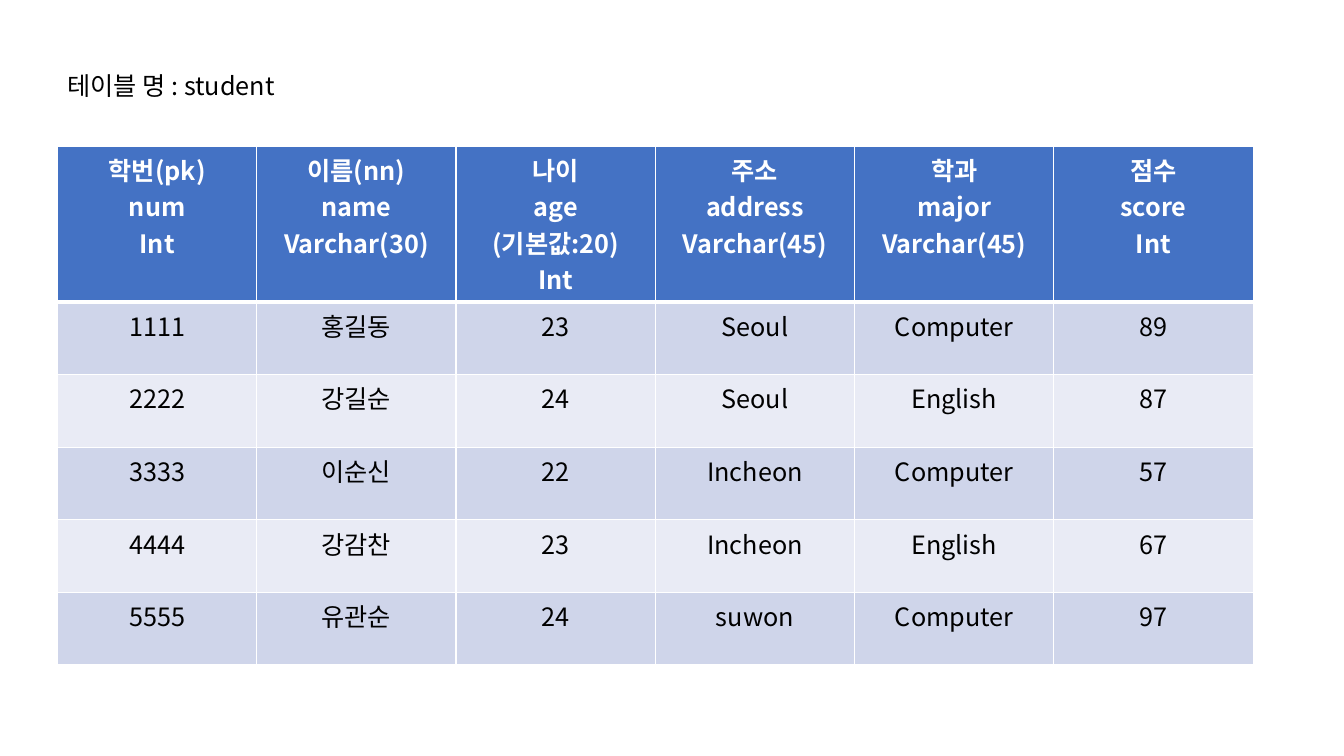
import pptx
import pptx.dml.color
import pptx.enum.text
import pptx.oxml.ns
import pptx.util
from lxml import etree

Inches = pptx.util.Inches
Pt = pptx.util.Pt
qn = pptx.oxml.ns.qn
ALIGN = pptx.enum.text.PP_ALIGN

# Content
TITLE = "테이블 명 : student"
FIELDS = [
    ("학번(pk)", "num", "Int"),
    ("이름(nn)", "name", "Varchar(30)"),
    ("나이", "age", "(기본값:20)", "Int"),
    ("주소", "address", "Varchar(45)"),
    ("학과", "major", "Varchar(45)"),
    ("점수", "score", "Int"),
]
STUDENTS = [
    ("1111", "홍길동", "23", "Seoul", "Computer", "89"),
    ("2222", "강길순", "24", "Seoul", "English", "87"),
    ("3333", "이순신", "22", "Incheon", "Computer", "57"),
    ("4444", "강감찬", "23", "Incheon", "English", "67"),
    ("5555", "유관순", "24", "suwon", "Computer", "97"),
]

# Theme and layout
THEME = {
    "font": "Noto Sans CJK KR", "size": 18,
    "text": "000000", "header_text": "FFFFFF", "header": "4472C4",
    "bands": ("CFD5EA", "E9EBF5"),
    "border": "FFFFFF", "thin": 1, "thick": 3,
}
LEFT, TITLE_TOP, TABLE_TOP = 0.57, 0.65, 1.45
TABLE_WIDTH, ROW_HEIGHT = 11.86, 0.72


def color(code):
    return pptx.dml.color.RGBColor.from_string(code)


def write(frame, text, ink=THEME["text"], bold=False, align=ALIGN.LEFT):
    """Put each line of text in its own paragraph."""
    for index, line in enumerate(text.split("\n")):
        para = frame.paragraphs[0] if index == 0 else frame.add_paragraph()
        para.alignment = align
        span = para.add_run()
        span.text = line
        span.font.name = THEME["font"]
        span.font.size = Pt(THEME["size"])
        span.font.bold = bold
        span.font.color.rgb = color(ink)
        east_asian = etree.SubElement(span.font._element, qn("a:ea"))
        east_asian.set("typeface", THEME["font"])


def add_borders(cell, bottom, top):
    properties = cell._tc.get_or_add_tcPr()
    widths = {"L": THEME["thin"], "R": THEME["thin"], "T": top, "B": bottom}
    for index, (side, width) in enumerate(widths.items()):
        line = etree.Element(qn(f"a:ln{side}"), w=str(Pt(width)))
        fill = etree.SubElement(line, qn("a:solidFill"))
        etree.SubElement(fill, qn("a:srgbClr"), val=THEME["border"])
        properties.insert(index, line)  # borders precede the cell fill


deck = pptx.Presentation()
deck.slide_width, deck.slide_height = Inches(13.33), Inches(7.5)
page = deck.slides.add_slide(deck.slide_layouts[6])

# Student table
rows = [["\n".join(field) for field in FIELDS], *STUDENTS]
table = page.shapes.add_table(
    len(rows), len(FIELDS), Inches(LEFT), Inches(TABLE_TOP),
    Inches(TABLE_WIDTH), Inches(ROW_HEIGHT * len(rows))).table
for column in table.columns:
    column.width = Inches(TABLE_WIDTH / len(FIELDS))

for row, values in enumerate(rows):
    header = row == 0
    background = THEME["header"] if header else THEME["bands"][(row - 1) % 2]
    ink = THEME["header_text"] if header else THEME["text"]
    for column, value in enumerate(values):
        cell = table.cell(row, column)
        cell.fill.solid()
        cell.fill.fore_color.rgb = color(background)
        write(cell.text_frame, value, ink=ink, bold=header, align=ALIGN.CENTER)
        add_borders(cell, bottom=THEME["thick" if header else "thin"],
                    top=THEME["thick" if row == 1 else "thin"])

# Table name
box = page.shapes.add_textbox(
    Inches(LEFT), Inches(TITLE_TOP), Inches(9.71), Inches(0.4))
box.text_frame.word_wrap = True
box.text_frame.auto_size = pptx.enum.text.MSO_AUTO_SIZE.SHAPE_TO_FIT_TEXT
write(box.text_frame, TITLE)

deck.save("out.pptx")
